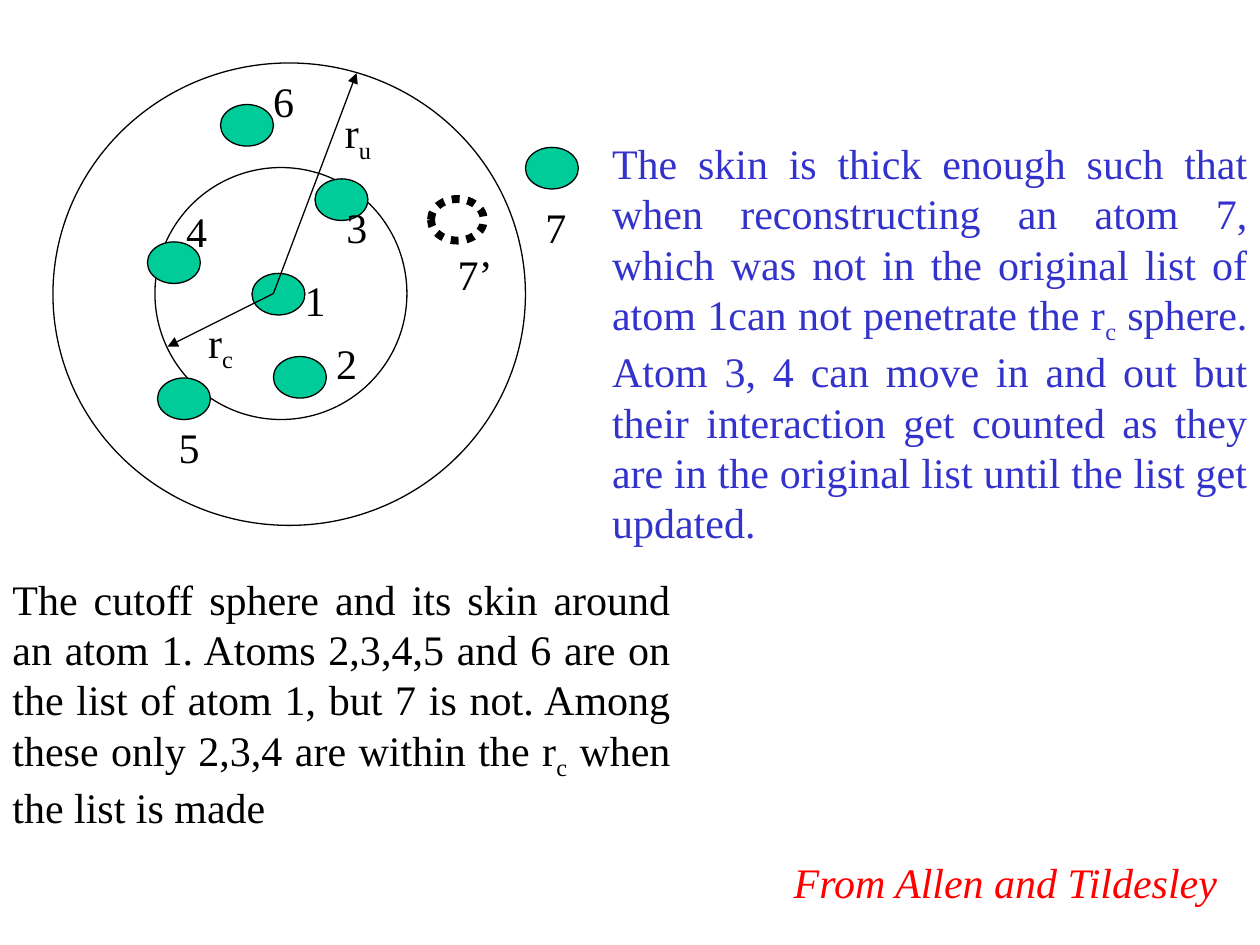
import dataclasses

import pptx
import pptx.dml.color
import pptx.enum.dml
import pptx.enum.shapes
import pptx.enum.text
import pptx.oxml
import pptx.oxml.ns
import pptx.util

Inches = pptx.util.Inches
Pt = pptx.util.Pt
ALIGN = pptx.enum.text.PP_ALIGN


@dataclasses.dataclass(frozen=True)
class Theme:
    font: str = "Times New Roman"
    text_size: float = 24
    line_width: float = 0.75
    ghost_width: float = 4.5
    subscript: str = "-25000"
    ink: str = "000000"
    atom: str = "00CC99"
    note: str = "3333CC"
    credit: str = "FF0000"


def rgb(value):
    return pptx.dml.color.RGBColor.from_string(value)


class SlideBuilder:
    def __init__(self, slide, theme):
        self.s = slide
        self.theme = theme

    def outline(self, sp, width):
        sp.line.color.rgb = rgb(self.theme.ink)
        sp.line.width = Pt(width)

    def ellipse(self, x, y, w, h, fill=None, width=None):
        sp = self.s.shapes.add_shape(
            pptx.enum.shapes.MSO_SHAPE.OVAL,
            Inches(x), Inches(y), Inches(w), Inches(h))
        sp.shadow.inherit = False
        if fill:
            sp.fill.solid()
            sp.fill.fore_color.rgb = rgb(fill)
        else:
            sp.fill.background()
        self.outline(sp, width or self.theme.line_width)
        return sp

    def atom(self, x, y):
        return self.ellipse(x, y, *ATOM_SIZE, fill=self.theme.atom)

    def ghost_atom(self, x, y):
        sp = self.ellipse(x, y, *ATOM_SIZE, width=self.theme.ghost_width)
        sp.line.dash_style = pptx.enum.dml.MSO_LINE.ROUND_DOT
        return sp

    def arrow(self, start, end):
        points = [Inches(v) for v in (*start, *end)]
        sp = self.s.shapes.add_connector(
            pptx.enum.shapes.MSO_CONNECTOR.STRAIGHT, *points)
        self.outline(sp, self.theme.line_width)
        ln = sp.line._get_or_add_ln()
        tail = pptx.oxml.ns.qn("a:tailEnd")
        ln.append(ln.makeelement(tail, {"type": "triangle"}))
        effects = pptx.oxml.ns.qn("a:effectLst")
        sp._element.spPr.append(ln.makeelement(effects, {}))
        return sp

    def text(self, x, y, w, h, parts, color=None, align=ALIGN.CENTER,
             wrap=False, italic=None):
        sp = self.s.shapes.add_textbox(
            Inches(x), Inches(y), Inches(w), Inches(h))
        tf = sp.text_frame
        tf.word_wrap = wrap
        tf.auto_size = pptx.enum.text.MSO_AUTO_SIZE.SHAPE_TO_FIT_TEXT
        p = tf.paragraphs[0]
        p.alignment = align
        for i, part in enumerate(parts):
            r = p.add_run()
            r.text = part
            r.font.name = self.theme.font
            r.font.size = Pt(self.theme.text_size)
            r.font.color.rgb = rgb(color or self.theme.ink)
            r.font.italic = italic
            if i % 2:
                r._r.get_or_add_rPr().set("baseline", self.theme.subscript)
        return sp

    def body(self, x, y, w, h, parts, color=None):
        return self.text(x, y, w, h, parts, color, ALIGN.JUSTIFY, wrap=True)


ATOM_SIZE = (0.42, 0.33)
CUTOFF_SPHERE = (1.23, 1.33, 2, 2)
SKIN_SPHERE = (0.42, 0.5, 3.75, 3.67)
ATOMS = [(2, 2.17), (2.17, 2.83), (2.5, 1.42), (1.17, 1.92),
         (1.25, 3), (1.75, 0.83), (4.17, 1.17)]
MOVED_ATOM = (3.42, 1.58)
CENTER = (2.17, 2.33)
RADIUS_ENDS = [(1.33, 2.75), (2.83, 0.58)]
ATOM_LABELS = [(2.32, 2.13), (2.57, 2.63), (2.65, 1.55), (1.38, 1.58),
               (1.32, 3.3), (2.07, 0.55), (4.23, 1.55)]
OTHER_LABELS = [
    (1.54, 2.46, 0.42, 0.56, ["r", "c"]),
    (3.53, 1.92, 0.48, 0.5, ["7’"]),
    (2.63, 0.8, 0.42, 0.56, ["r", "u"]),
]
CAPTION = [
    "The cutoff sphere and its skin around an atom 1. Atoms 2,3,4,5 and 6 "
    "are on the list of atom 1, but 7 is not. Among these only 2,3,4 are "
    "within the r", "c", " when the list is made"]
SKIN_NOTE = [
    "The skin is thick enough such that when reconstructing an atom 7, which "
    "was not in the original list of atom 1can not penetrate the r", "c",
    " sphere. Atom 3, 4 can move in and out but their interaction get counted "
    "as they are in the original list until the list get updated."]


def main():
    prs = pptx.Presentation()
    prs.slide_width = Inches(10)
    prs.slide_height = Inches(7.5)
    theme = Theme()
    b = SlideBuilder(prs.slides.add_slide(prs.slide_layouts[6]), theme)

    for sphere in (CUTOFF_SPHERE, SKIN_SPHERE):
        b.ellipse(*sphere)
    for position in ATOMS:
        b.atom(*position)
    b.ghost_atom(*MOVED_ATOM)
    for end in RADIUS_ENDS:
        b.arrow(CENTER, end)

    for number, (x, y) in enumerate(ATOM_LABELS, 1):
        b.text(x, y, 0.36, 0.5, [str(number)])
    for label in OTHER_LABELS:
        b.text(*label)

    b.body(0, 4.5, 5.42, 2.16, CAPTION)
    b.body(4.76, 1.04, 5.24, 3.36, SKIN_NOTE, theme.note)
    b.text(6.18, 6.75, 3.6, 0.5, ["From Allen and Tildesley"],
           theme.credit, italic=True)

    prs.save("out.pptx")


if __name__ == "__main__":
    main()
